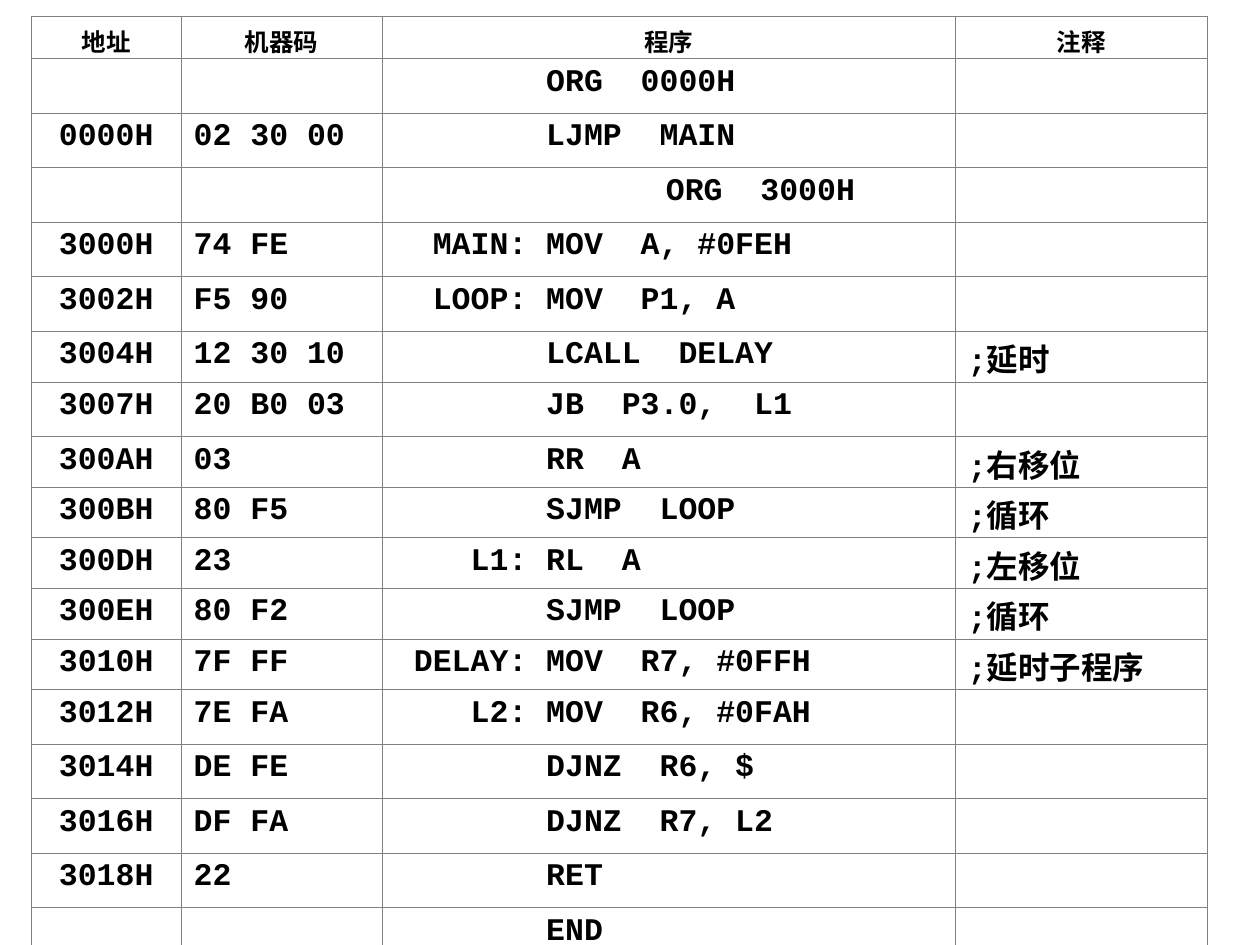
from lxml.etree import SubElement
from pptx import Presentation
from pptx.dml.color import RGBColor
from pptx.enum.text import PP_ALIGN as Align
from pptx.oxml.ns import qn
from pptx.util import Cm, Pt

BLACK = RGBColor(0x00, 0x00, 0x00)
WHITE = RGBColor(0xFF, 0xFF, 0xFF)
GREY = RGBColor(0x80, 0x80, 0x80)
CODE_FONT = "Courier New"
TAB_COUNT = 8
COLUMN_WIDTHS = [3.02, 4.06, 11.55, 5.08]
HEADER_HEIGHT, COMMENTED_HEIGHT, PLAIN_HEIGHT = 0.85, 1.02, 1.1
COMMENT_MARGIN_TOP = 0.08
HEADINGS = ("地址", "机器码", "程序", "注释")
LISTING = [
    ("", "", "        ORG  0000H", ""),
    ("0000H", "02 30 00", "        LJMP  MAIN", ""),
    ("", "", "\t\t ORG  3000H", ""),
    ("3000H", "74 FE", "  MAIN: MOV  A, #0FEH", ""),
    ("3002H", "F5 90", "  LOOP: MOV  P1, A", ""),
    ("3004H", "12 30 10", "        LCALL  DELAY", ";延时"),
    ("3007H", "20 B0 03", "        JB  P3.0,  L1", ""),
    ("300AH", "03", "        RR  A", ";右移位"),
    ("300BH", "80 F5", "        SJMP  LOOP", ";循环"),
    ("300DH", "23", "    L1: RL  A", ";左移位"),
    ("300EH", "80 F2", "        SJMP  LOOP", ";循环"),
    ("3010H", "7F FF", " DELAY: MOV  R7, #0FFH", ";延时子程序"),
    ("3012H", "7E FA", "    L2: MOV  R6, #0FAH", ""),
    ("3014H", "DE FE", "        DJNZ  R6, $", ""),
    ("3016H", "DF FA", "        DJNZ  R7, L2", ""),
    ("3018H", "22", "        RET", ""),
    ("", "", "        END", ""),
]


def write_text(frame, text, size=18, align=Align.LEFT, color=BLACK, bold=True):
    """Write one formatted paragraph with a tab stop at every inch."""
    paragraph = frame.paragraphs[0]
    paragraph.alignment = align
    stops = SubElement(paragraph._p.get_or_add_pPr(), qn("a:tabLst"))
    for inch in range(TAB_COUNT):
        SubElement(stops, qn("a:tab"), pos=str(Cm(2.54 * inch)), algn="l")
    run = paragraph.add_run()
    run.text = text
    run.font.name = CODE_FONT
    run.font.size = Pt(size)
    run.font.bold = bold
    run.font.color.rgb = color


def style_cell(cell):
    """Give a cell thin grey borders on all sides and a white fill."""
    properties = cell._tc.get_or_add_tcPr()
    for side in ("a:lnL", "a:lnR", "a:lnT", "a:lnB"):
        border = SubElement(properties, qn(side), w=str(Pt(0.45)))
        fill = SubElement(border, qn("a:solidFill"))
        SubElement(fill, qn("a:srgbClr"), val=str(GREY))
    cell.fill.solid()
    cell.fill.fore_color.rgb = WHITE


def add_program_listing(slide, left, top):
    """Place the assembled program as a table at the given corner."""
    rows = [HEADINGS] + LISTING
    heights = [HEADER_HEIGHT] + [
        COMMENTED_HEIGHT if comment else PLAIN_HEIGHT for *_, comment in LISTING
    ]
    listing = slide.shapes.add_table(
        len(rows), len(HEADINGS), Cm(left), Cm(top),
        Cm(sum(COLUMN_WIDTHS)), Cm(sum(heights)),
    ).table
    for column, width in zip(listing.columns, COLUMN_WIDTHS):
        column.width = Cm(width)
    for row_index, (entries, height) in enumerate(zip(rows, heights)):
        listing.rows[row_index].height = Cm(height)
        is_header = row_index == 0
        for column_index, entry in enumerate(entries):
            cell = listing.cell(row_index, column_index)
            style_cell(cell)
            if not entry:
                continue
            is_comment = not is_header and column_index == len(HEADINGS) - 1
            if is_header or is_comment:
                cell.margin_bottom = 0
            if is_comment:
                cell.margin_top = Cm(COMMENT_MARGIN_TOP)
            centred = is_header or column_index == 0
            write_text(
                cell.text_frame, entry,
                size=14 if is_header else 18,
                align=Align.CENTER if centred else Align.LEFT,
            )


def main():
    """Build the slide and save it."""
    deck = Presentation()
    deck.slide_width, deck.slide_height = Cm(25.4), Cm(19.05)
    slide = deck.slides.add_slide(deck.slide_layouts[6])
    add_program_listing(slide, 0.63, 0.33)
    deck.save("out.pptx")


if __name__ == "__main__":
    main()
